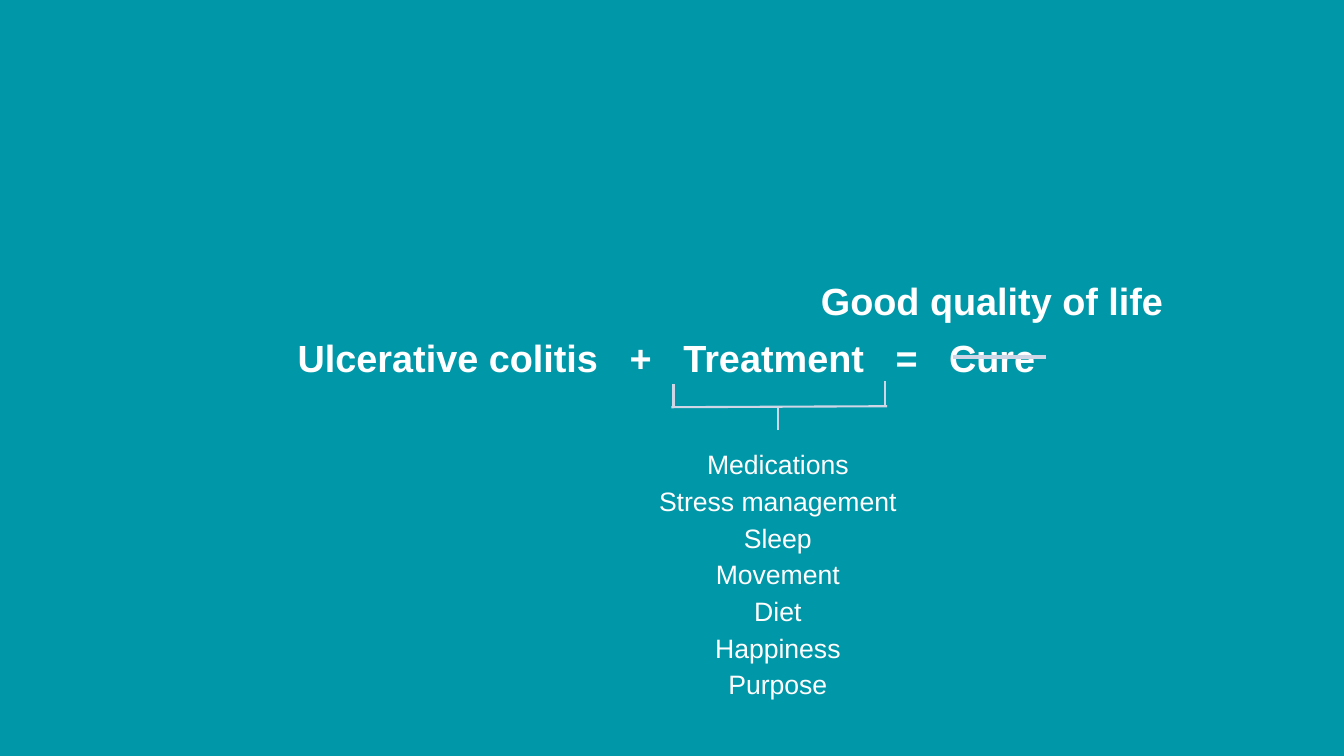
from lxml import etree
from pptx import Presentation
from pptx.dml.color import RGBColor
from pptx.enum.shapes import MSO_CONNECTOR
from pptx.enum.text import MSO_ANCHOR, PP_ALIGN
from pptx.oxml.ns import qn
from pptx.util import Inches, Pt

TEAL, WHITE, PALE = "0097A8", "FFFFFF", "CFD7E7"
FONT, INSET = "Arial", 0.13
HEADING_SIZE, LIST_SIZE = 27, 19
WORD_GAP = 15

equation = ["Ulcerative colitis", "+", "Treatment", "=", "Cure"]
outcome = "Good quality of life"
treatments = ["Medications", "Stress management", "Sleep", "Movement",
              "Diet", "Happiness", "Purpose"]

equation_box = (0.4, 2.52, 12.42, 2.02)
outcome_box = (6.92, 2.6, 5.84, 0.72)
treatments_box = (6.38, 4.27, 2.67, 2.8)

left, middle, right, bar = 6.68, 7.72, 8.78, 4.03
bracket = [
    (left, bar + 0.01, left, 3.81),
    (left - 0.02, bar + 0.01, right + 0.02, bar),
    (right, bar - 0.01, right, 3.78),
    (middle, 4.27, middle, bar),
]
strike = (9.45, 3.54, 10.37, 3.54)


def color(value):
    return RGBColor.from_string(value)


def setup_frame(shape, anchor):
    frame = shape.text_frame
    frame.word_wrap = True
    frame.vertical_anchor = anchor
    frame.margin_left = frame.margin_right = Inches(INSET)
    frame.margin_top = frame.margin_bottom = Inches(INSET)
    return frame


def setup_paragraph(paragraph, spacing, after=0):
    paragraph.alignment = PP_ALIGN.CENTER
    paragraph.line_spacing = spacing
    paragraph.space_before = Pt(0)
    paragraph.space_after = Pt(after)


def add_run(paragraph, text, size, bold):
    run = paragraph.add_run()
    run.text = text
    run.font.name, run.font.size, run.font.bold = FONT, Pt(size), bold
    run.font.color.rgb = color(WHITE)
    return run


def add_text(slide, box, lines, size, bold, spacing, after=0):
    shape = slide.shapes.add_textbox(*map(Inches, box))
    frame = setup_frame(shape, MSO_ANCHOR.TOP)
    for i, line in enumerate(lines):
        paragraph = frame.add_paragraph() if i else frame.paragraphs[0]
        setup_paragraph(paragraph, spacing, after)
        add_run(paragraph, line, size, bold)


def add_line(slide, ends, width):
    line = slide.shapes.add_connector(MSO_CONNECTOR.STRAIGHT, *map(Inches, ends))
    line.line.color.rgb = color(PALE)
    line.line.width = Pt(width)
    etree.SubElement(line._element.spPr, qn("a:effectLst"))


def add_equation(slide):
    title = slide.shapes.title
    title.left, title.top, title.width, title.height = map(Inches, equation_box)
    paragraph = setup_frame(title, MSO_ANCHOR.MIDDLE).paragraphs[0]
    setup_paragraph(paragraph, 1.05)
    for i, term in enumerate(equation):
        if i:
            gap = add_run(paragraph, " ", HEADING_SIZE, True)
            gap.font._element.set("spc", str(WORD_GAP * 100))
        add_run(paragraph, term, HEADING_SIZE, True)


prs = Presentation()
prs.slide_width, prs.slide_height = Inches(13.33), Inches(7.5)
slide = prs.slides.add_slide(prs.slide_layouts[5])
slide.background.fill.solid()
slide.background.fill.fore_color.rgb = color(TEAL)

add_equation(slide)
for ends in bracket:
    add_line(slide, ends, 1.5)
add_text(slide, treatments_box, treatments, LIST_SIZE, False, 1.15)
add_text(slide, outcome_box, [outcome], HEADING_SIZE, True, 1.05, 16)
add_line(slide, strike, 3)

prs.save("out.pptx")
